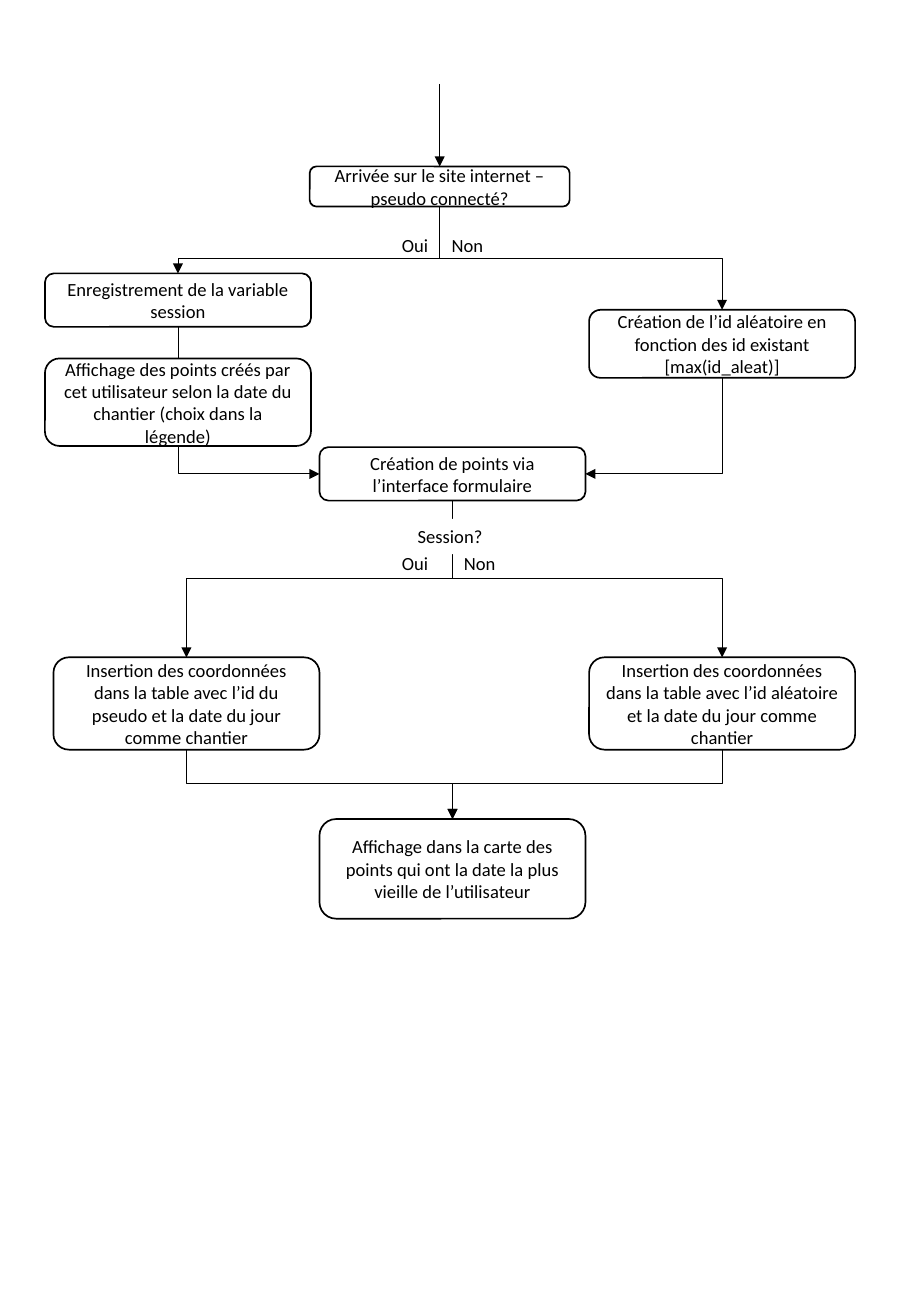
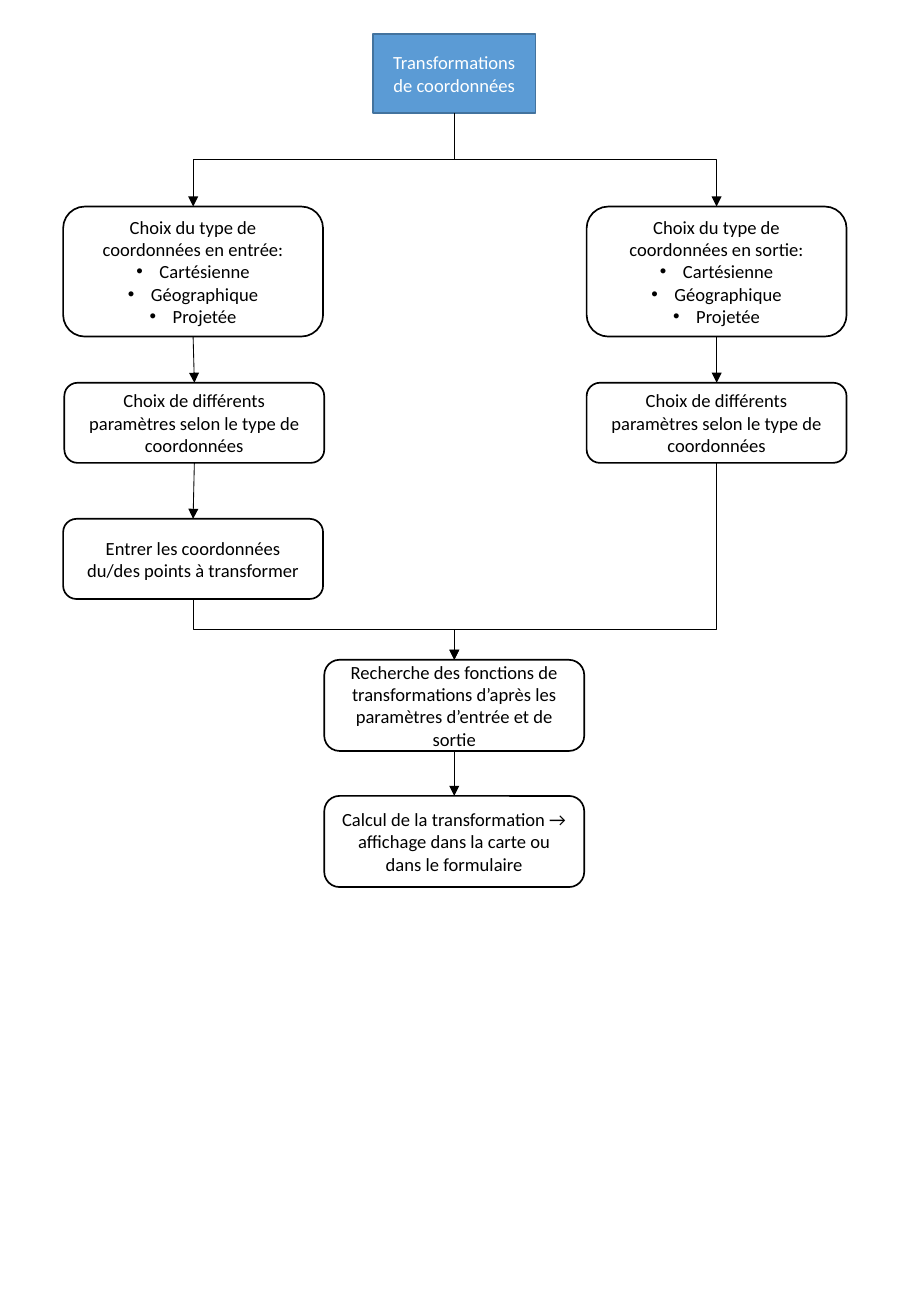
from dataclasses import dataclass
from typing import Optional

from lxml import etree
from pptx import Presentation
from pptx import util as u
from pptx.dml import color
from pptx.enum import shapes, text
from pptx.oxml import ns

COLORS = {
    "ink": "000000",
    "paper": "FFFFFF",
    "title_fill": "5B9BD5",
    "title_line": "43739E",
}
FONT = "Calibri"
FONT_SIZE = 11
BULLET_INDENT = 0.19
LABEL_HEIGHT = 0.29
TOP, LEFT, BOTTOM, RIGHT = range(4)  # connection sites of a rectangle


@dataclass(frozen=True)
class Box:
    """A framed step; lines after the first are bullets."""
    key: str
    left: float
    top: float
    width: float
    height: float
    lines: tuple[str, ...]
    title: bool = False


@dataclass(frozen=True)
class Label:
    """A short unframed caption."""
    left: float
    top: float
    width: float
    caption: str
    filled: bool = False


@dataclass(frozen=True)
class Link:
    """An arrow leaving the bottom of one box; bend is the height of its turn."""
    source: str
    target: str
    bend: Optional[float] = None
    side: int = TOP


@dataclass(frozen=True)
class Flow:
    """One slide; covers and labels lie over the links."""
    boxes: tuple[Box, ...]
    links: tuple[Link, ...]
    covers: tuple[Box, ...] = ()
    labels: tuple[Label, ...] = ()
    entry: Optional[tuple[float, float, float]] = None


def rgb(name: str) -> color.RGBColor:
    """Look up a named colour."""
    return color.RGBColor.from_string(COLORS[name])


def add_run(paragraph, content: str, ink: str = "ink") -> None:
    """Append one run in the common font."""
    run = paragraph.add_run()
    run.text = content
    run.font.name = FONT
    run.font.size = u.Pt(FONT_SIZE)
    run.font.color.rgb = rgb(ink)


def add_bullet(paragraph) -> None:
    """Give a paragraph a hanging bullet."""
    properties = paragraph._p.get_or_add_pPr()
    properties.set("marL", str(u.Inches(BULLET_INDENT)))
    properties.set("indent", str(-u.Inches(BULLET_INDENT)))
    etree.SubElement(properties, ns.qn("a:buFont"), typeface="Arial")
    etree.SubElement(properties, ns.qn("a:buChar"), char="•")


def draw_box(slide, box: Box):
    """Draw a step and return its shape."""
    kind = shapes.MSO_SHAPE.RECTANGLE if box.title else shapes.MSO_SHAPE.ROUNDED_RECTANGLE
    shape = slide.shapes.add_shape(
        kind, u.Inches(box.left), u.Inches(box.top), u.Inches(box.width), u.Inches(box.height))
    shape.shadow.inherit = False
    shape.fill.solid()
    shape.fill.fore_color.rgb = rgb("title_fill" if box.title else "paper")
    shape.line.color.rgb = rgb("title_line" if box.title else "ink")
    shape.line.width = u.Pt(1)
    frame = shape.text_frame
    frame.word_wrap = True
    frame.vertical_anchor = text.MSO_ANCHOR.MIDDLE
    for index, line in enumerate(box.lines):
        paragraph = frame.add_paragraph() if index else frame.paragraphs[0]
        paragraph.alignment = text.PP_ALIGN.CENTER
        if index:
            add_bullet(paragraph)
        add_run(paragraph, line, "paper" if box.title else "ink")
    return shape


def draw_label(slide, label: Label) -> None:
    """Draw a caption, on white if it interrupts a line."""
    shape = slide.shapes.add_textbox(
        u.Inches(label.left), u.Inches(label.top), u.Inches(label.width), u.Inches(LABEL_HEIGHT))
    if label.filled:
        shape.fill.solid()
        shape.fill.fore_color.rgb = rgb("paper")
    shape.text_frame.word_wrap = True
    shape.text_frame.auto_size = text.MSO_AUTO_SIZE.SHAPE_TO_FIT_TEXT
    add_run(shape.text_frame.paragraphs[0], label.caption)


def style_arrow(connector) -> None:
    """Make a connector a thin arrow without shadow."""
    connector.line.color.rgb = rgb("ink")
    connector.line.width = u.Pt(0.5)
    line = connector.line._get_or_add_ln()
    etree.SubElement(line, ns.qn("a:tailEnd"), type="triangle")
    etree.SubElement(connector._element.spPr, ns.qn("a:effectLst"))


def turn_elbow(connector, link: Link) -> None:
    """Rotate an elbow so that it leaves downwards and turns at the bend."""
    x1, y1 = connector.begin_x, connector.begin_y
    x2, y2 = connector.end_x, connector.end_y
    across, down = abs(x2 - x1), y2 - y1
    frame = connector._element.spPr.find(ns.qn("a:xfrm"))
    for flip in ("flipH", "flipV"):
        frame.attrib.pop(flip, None)
    if x2 > x1:
        frame.set("flipH", "1")
    connector.rotation = 270 if x2 > x1 else 90
    connector.width, connector.height = down, across
    connector.left = (x1 + x2 - down) // 2
    connector.top = (y1 + y2 - across) // 2
    geometry = connector._element.spPr.find(ns.qn("a:prstGeom"))
    if link.bend is None:
        geometry.set("prst", "bentConnector2")
        return
    share = round((u.Inches(link.bend) - y1) / down * 100000)
    guides = geometry.find(ns.qn("a:avLst"))
    etree.SubElement(guides, ns.qn("a:gd"), name="adj1", fmla=f"val {share}")


def draw_link(slide, link: Link, steps: dict) -> None:
    """Join two steps with an arrow."""
    straight = link.bend is None and link.side == TOP
    kind = shapes.MSO_CONNECTOR.STRAIGHT if straight else shapes.MSO_CONNECTOR.ELBOW
    connector = slide.shapes.add_connector(kind, 0, 0, 0, 0)
    connector.begin_connect(steps[link.source], BOTTOM)
    connector.end_connect(steps[link.target], link.side)
    if not straight:
        turn_elbow(connector, link)
    style_arrow(connector)


def draw_flow(presentation, flow: Flow) -> None:
    """Add a slide with one flow chart."""
    slide = presentation.slides.add_slide(presentation.slide_layouts[6])
    steps = {box.key: draw_box(slide, box) for box in flow.boxes}
    if flow.entry:
        x, start, end = map(u.Inches, flow.entry)
        style_arrow(slide.shapes.add_connector(shapes.MSO_CONNECTOR.STRAIGHT, x, start, x, end))
    for link in flow.links:
        draw_link(slide, link, steps)
    for box in flow.covers:
        draw_box(slide, box)
    for label in flow.labels:
        draw_label(slide, label)


STEP = 2.19
WIDE = 2.14
SESSION = Flow(
    entry=(3.62, 0.69, 1.37),
    boxes=(
        Box("arrival", 2.55, 1.37, WIDE, 0.33,
            ("Arrivée sur le site internet – pseudo connecté?",)),
        Box("session", 0.37, 2.25, STEP, 0.44, ("Enregistrement de la variable session",)),
        Box("random id", 4.85, 2.55, STEP, 0.56,
            ("Création de l’id aléatoire en fonction des id existant [max(id_aleat)]",)),
        Box("form", 2.63, 3.68, STEP, 0.44, ("Création de points via l’interface formulaire",)),
        Box("insert user", 0.44, 5.41, STEP, 0.76,
            ("Insertion des coordonnées dans la table avec l’id du pseudo "
             "et la date du jour comme chantier",)),
        Box("insert random", 4.85, 5.41, STEP, 0.76,
            ("Insertion des coordonnées dans la table avec l’id aléatoire "
             "et la date du jour comme chantier",)),
        Box("map", 2.63, 6.74, STEP, 0.82,
            ("Affichage dans la carte des points qui ont la date la plus vieille de l’utilisateur",)),
    ),
    links=(
        Link("arrival", "session", 2.13),
        Link("arrival", "random id", 2.13),
        Link("session", "form", side=LEFT),
        Link("random id", "form", side=RIGHT),
        Link("form", "insert user", 4.76),
        Link("form", "insert random", 4.76),
        Link("insert user", "map", 6.45),
        Link("insert random", "map", 6.45),
    ),
    covers=(
        Box("user points", 0.37, 2.95, STEP, 0.72,
            ("Affichage des points créés par cet utilisateur selon la date du chantier "
             "(choix dans la légende)",)),
    ),
    labels=(
        Label(3.21, 1.88, 0.59, "Oui"),
        Label(3.62, 1.88, 0.81, "Non"),
        Label(3.34, 4.27, 0.83, "Session?", filled=True),
        Label(3.21, 4.49, 0.59, "Oui"),
        Label(3.72, 4.49, 0.81, "Non"),
    ),
)

SYSTEMS = ("Cartésienne", "Géographique", "Projetée")
PARAMETERS = ("Choix de différents paramètres selon le type de coordonnées",)
TRANSFORMATION = Flow(
    boxes=(
        Box("title", 3.07, 0.28, 1.34, 0.65, ("Transformations de coordonnées",), title=True),
        Box("input type", 0.52, 1.7, WIDE, 1.07,
            ("Choix du type de coordonnées en entrée:", *SYSTEMS)),
        Box("output type", 4.83, 1.7, WIDE, 1.07,
            ("Choix du type de coordonnées en sortie:", *SYSTEMS)),
        Box("input parameters", 0.53, 3.15, WIDE, 0.66, PARAMETERS),
        Box("output parameters", 4.83, 3.15, WIDE, 0.66, PARAMETERS),
        Box("points", 0.52, 4.27, WIDE, 0.66, ("Entrer les coordonnées du/des points à transformer",)),
        Box("search", 2.67, 5.43, WIDE, 0.75,
            ("Recherche des fonctions de transformations d’après les paramètres "
             "d’entrée et de sortie",)),
        Box("result", 2.67, 6.55, WIDE, 0.75,
            ("Calcul de la transformation → affichage dans la carte ou dans le formulaire",)),
    ),
    links=(
        Link("title", "input type", 1.31),
        Link("title", "output type", 1.31),
        Link("input type", "input parameters"),
        Link("output type", "output parameters"),
        Link("input parameters", "points"),
        Link("points", "search", 5.18),
        Link("output parameters", "search", 5.18),
        Link("search", "result"),
    ),
)


def main() -> None:
    """Build and save the presentation."""
    presentation = Presentation()
    presentation.slide_width = u.Inches(7.5)
    presentation.slide_height = u.Inches(10.83)
    for flow in (SESSION, TRANSFORMATION):
        draw_flow(presentation, flow)
    presentation.save("out.pptx")


main()
